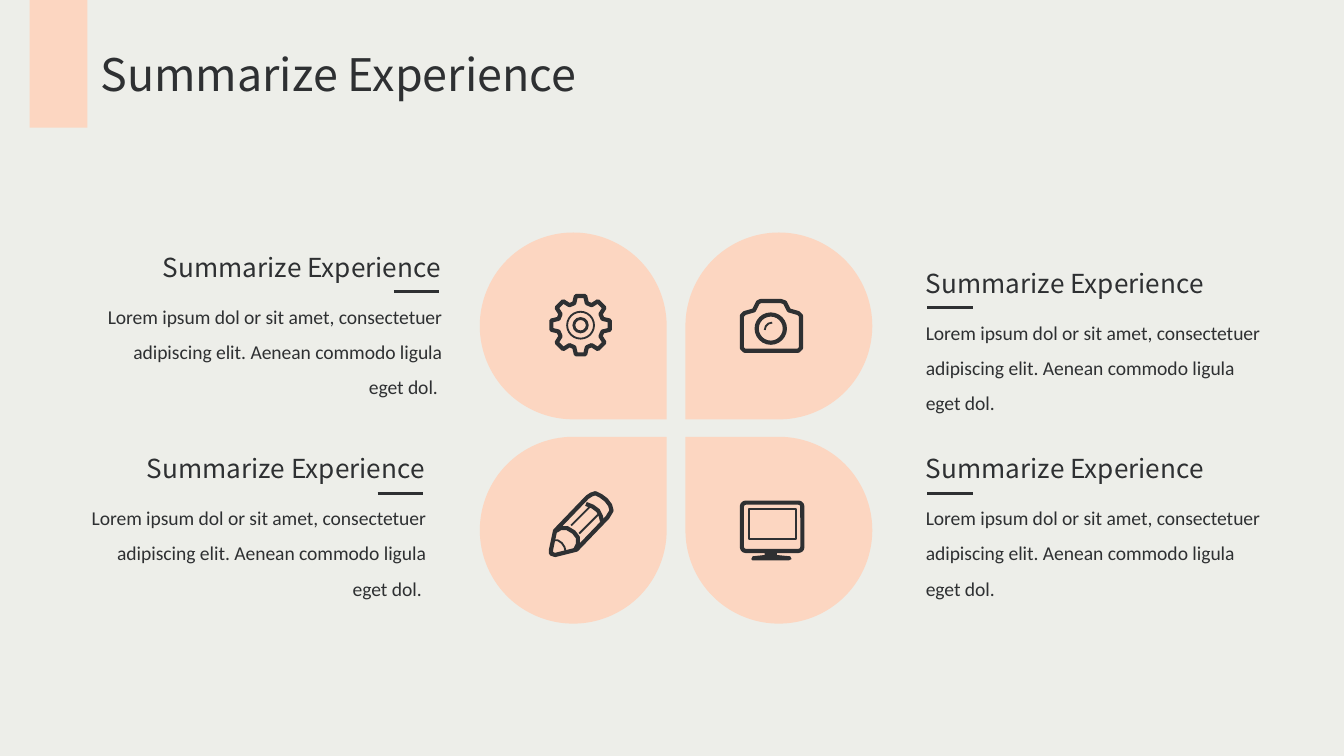
from math import cos, sin, radians
from lxml import etree
from pptx import Presentation
from pptx.dml.color import RGBColor
from pptx.enum.shapes import MSO_CONNECTOR, MSO_SHAPE
from pptx.enum.text import MSO_AUTO_SIZE, PP_ALIGN
from pptx.oxml.ns import qn
from pptx.util import Inches, Pt

RECT, OVAL, ARC = MSO_SHAPE.RECTANGLE, MSO_SHAPE.OVAL, MSO_SHAPE.ARC
ROUND, TEAR = MSO_SHAPE.ROUNDED_RECTANGLE, MSO_SHAPE.TEAR
LINE = MSO_CONNECTOR.STRAIGHT
LEFT, RIGHT = PP_ALIGN.LEFT, PP_ALIGN.RIGHT
GROW = MSO_AUTO_SIZE.SHAPE_TO_FIT_TEXT

HEX = {"back": "EDEEE9", "peach": "FCD6C1", "ink": "2E3032"}
RGB = {name: RGBColor.from_string(code) for name, code in HEX.items()}
HEAD = "Summarize Experience"
BODY = ("Lorem ipsum dol or sit amet, consectetuer adipiscing elit. "
        "Aenean commodo ligula eget dol.")
FORMS = {
    "title": {"name": "Noto Sans CJK SC", "size": Pt(24)},
    "head": {"name": "Noto Sans CJK SC", "size": Pt(14)},
    "body": {"name": "Calibri", "size": Pt(10.5)},
}
BOLD, THIN = 2.25, 1

# Wide page, 16 to 9
prs = Presentation()
prs.slide_width = Inches(10)
prs.slide_height = Inches(10) * 9 // 16
slide = prs.slides.add_slide(prs.slide_layouts[6])
slide.background.fill.solid()
slide.background.fill.fore_color.rgb = RGB["back"]
shapes = slide.shapes


def paint(shape, fill=None, width=None):
    """Give a shape a flat fill, an ink outline, or both."""
    shape.shadow.inherit = False
    if fill:
        shape.fill.solid()
        shape.fill.fore_color.rgb = RGB[fill]
    else:
        shape.fill.background()
    if width:
        shape.line.color.rgb = RGB["ink"]
        shape.line.width = Pt(width)
    else:
        shape.line.fill.background()


def write(box, text, form, align=LEFT, wrap=False, space=None):
    """Add a text box in one of the named formats."""
    frame = shapes.add_textbox(*map(Inches, box)).text_frame
    frame.word_wrap = wrap
    frame.auto_size = GROW
    para = frame.paragraphs[0]
    para.alignment = align
    if space:
        para.line_spacing = space
    run = para.add_run()
    run.text = text
    for key, value in FORMS[form].items():
        setattr(run.font, key, value)
    run.font.color.rgb = RGB["ink"]


# Title with its tab
paint(shapes.add_shape(RECT, *map(Inches, (0.22, 0, 0.43, 0.95))), "peach")
write((0.65, 0.3, 3.87, 0.5), HEAD, "title")

# Four petals, each pointing to the middle
for x, y, turn in [(3.57, 3.25, 0), (5.1, 3.25, 270),
                   (3.57, 1.73, 90), (5.1, 1.73, 180)]:
    petal = shapes.add_shape(TEAR, *map(Inches, (x, y, 1.39, 1.39)))
    petal.rotation = turn
    paint(petal, "peach")

# Captions: body box corner and side of the petals
for x, y, align in [(0.65, 2.13, RIGHT), (0.53, 3.63, RIGHT),
                    (6.79, 3.63, LEFT), (6.79, 2.25, LEFT)]:
    right = align == RIGHT
    write((x, y, 2.74, 0.87), BODY + " " * right, "body", align, True, 1.5)
    write((x + 0.39 * right, y - 0.31, 2.34, 0.34), HEAD, "head", align)
    start = x + (2.28 if right else 0.11)
    rule = shapes.add_connector(LINE, *map(Inches, (
        start, y + 0.04, start + 0.34, y + 0.04)))
    rule.line.color.rgb = RGB["ink"]
    rule.line.width = Pt(1.5)
    etree.SubElement(rule._element.spPr, qn("a:effectLst"))

# Gear outline: eight equal teeth
hub = (4.32, 2.42)
teeth = []
for tooth in range(0, 360, 45):
    for turn, reach in [(-16, 0.17), (-9, 0.22), (9, 0.22), (16, 0.17)]:
        angle = radians(tooth + turn)
        teeth.append((hub[0] + reach * cos(angle), hub[1] + reach * sin(angle)))

# Drawn icon parts: points, closed, fill, line width
camera = [(5.54, 2.61), (5.52, 2.59), (5.52, 2.35), (5.54, 2.33), (5.61, 2.31),
          (5.64, 2.25), (5.66, 2.24), (5.81, 2.24), (5.84, 2.25), (5.87, 2.31),
          (5.94, 2.33), (5.96, 2.35), (5.96, 2.59), (5.94, 2.61)]
stand = [(5.69, 4.1), (5.69, 4.13), (5.6, 4.14), (5.59, 4.16), (5.6, 4.17),
         (5.87, 4.17), (5.89, 4.16), (5.88, 4.14), (5.78, 4.13), (5.78, 4.1)]
pencil = [(4.1, 4.09), (4.13, 3.95), (4.37, 3.7), (4.4, 3.68), (4.43, 3.67),
          (4.47, 3.69), (4.51, 3.72), (4.54, 3.76), (4.55, 3.8), (4.52, 3.85),
          (4.29, 4.09), (4.13, 4.13), (4.1, 4.12)]
band = [(4.36, 3.75), (4.41, 3.77), (4.45, 3.8), (4.47, 3.84), (4.48, 3.88)]
wood = [(4.14, 3.95), (4.17, 3.93), (4.22, 3.93), (4.27, 3.96),
        (4.3, 4), (4.3, 4.05), (4.28, 4.09)]
lead = [(4.12, 4.02), (4.15, 4.02), (4.18, 4.04), (4.2, 4.07), (4.21, 4.11)]
edges = [[(4.25, 3.91), (4.39, 3.77)], [(4.31, 3.97), (4.45, 3.83)]]
parts = [(teeth, True, None, BOLD), (camera, True, None, BOLD),
         (stand, True, "ink", None), (pencil, True, None, BOLD),
         (band, False, None, BOLD), (wood, False, None, BOLD),
         (lead, False, None, THIN)]
parts += [(edge, False, None, THIN) for edge in edges]
for points, closed, fill, width in parts:
    spots = [(Inches(x), Inches(y)) for x, y in points]
    pen = shapes.build_freeform(*spots[0])
    pen.add_line_segments(spots[1:], close=closed)
    paint(pen.convert_to_shape(), fill, width)

# Round and square icon parts: gear rings, lens, glint, monitor
for kind, box, width in [
    (OVAL, (4.22, 2.32, 0.2, 0.2), THIN),
    (OVAL, (4.27, 2.37, 0.1, 0.1), 1.5),
    (OVAL, (5.63, 2.34, 0.21, 0.21), BOLD),
    (ARC, (5.69, 2.4, 0.11, 0.11), THIN),
    (ROUND, (5.52, 3.74, 0.45, 0.36), BOLD),
    (RECT, (5.57, 3.79, 0.35, 0.22), THIN),
]:
    part = shapes.add_shape(kind, *map(Inches, box))
    paint(part, width=width)
    if kind == ARC:
        part.rotation = 270
    elif kind == ROUND:
        part.adjustments[0] = 0.08

prs.save("out.pptx")
